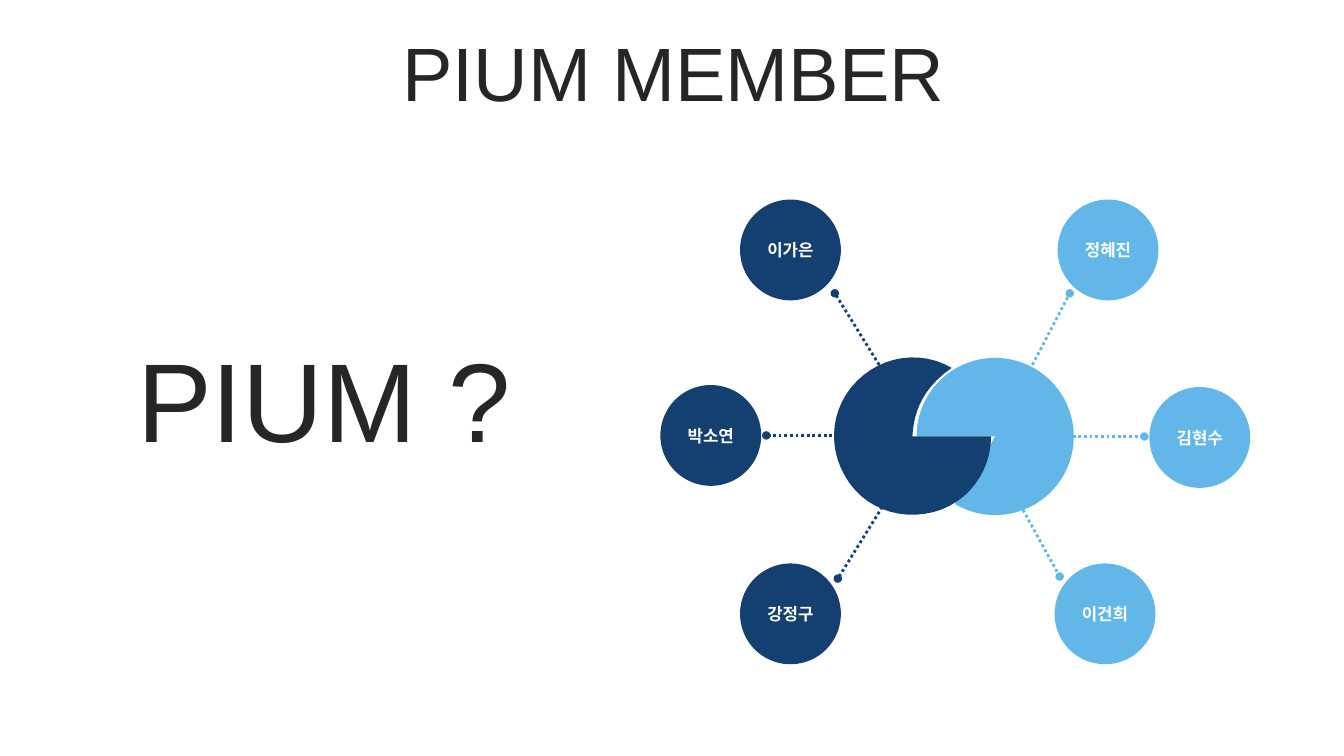
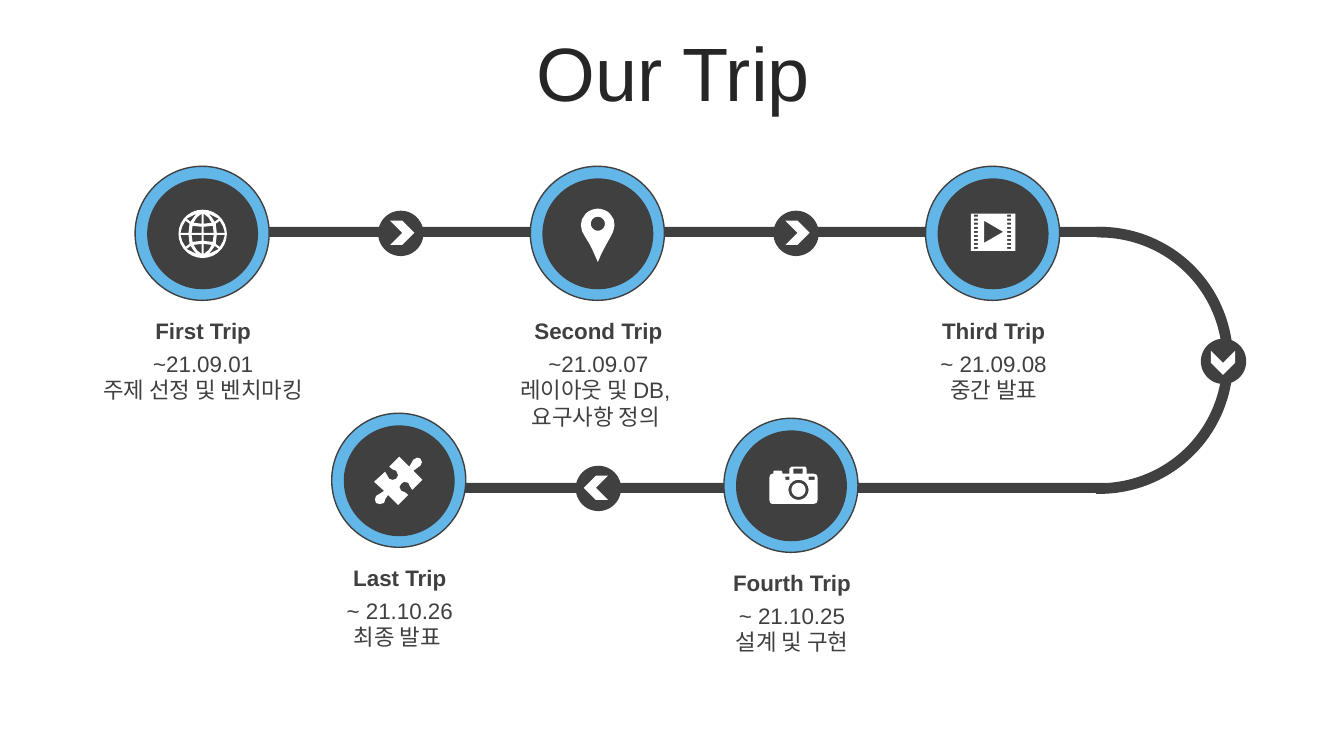
from math import cos, pi, radians, sin

from pptx import Presentation
from pptx.dml.color import RGBColor
from pptx.enum.dml import MSO_LINE
from pptx.enum.shapes import MSO_CONNECTOR, MSO_SHAPE
from pptx.enum.text import MSO_ANCHOR, MSO_AUTO_SIZE, PP_ALIGN
from pptx.oxml.ns import qn
from pptx.util import Emu, Pt
from lxml.etree import SubElement

NAVY = RGBColor(0x13, 0x40, 0x70)
SKY = RGBColor(0x62, 0xB7, 0xE8)
GRAY = RGBColor(0x40, 0x40, 0x40)
INK = RGBColor(0x26, 0x26, 0x26)
WHITE = RGBColor(0xFF, 0xFF, 0xFF)
FONT = "Arial"
SCALE = 9144
SIZES = {"M": 2, "L": 2, "C": 6, "O": 3, "R": 4}

MEMBERS = [
    ("정혜진", 1049, 198, SKY),
    ("김현수", 1140, 384, SKY),
    ("이건희", 1046, 559, SKY),
    ("강정구", 734, 559, NAVY),
    ("박소연", 655, 382, NAVY),
    ("이가은", 734, 198, NAVY),
]
LINKS = [
    (872, 362, 828, 291, NAVY),
    (831, 432, 760, 432, NAVY),
    (875, 503, 831, 574, NAVY),
    (1024, 362, 1061, 291, SKY),
    (1064, 433, 1135, 433, SKY),
    (1012, 501, 1051, 572, SKY),
]
TRIPS = [
    ("First Trip", ["~21.09.01", "주제 선정 및 벤치마킹"], 134, 165),
    ("Second Trip", ["~21.09.07", "레이아웃 및 DB, ", "요구사항 정의 "], 526, 165),
    ("Third Trip", ["~ 21.09.08", "중간 발표"], 918, 165),
    ("Fourth Trip", ["~ 21.10.25", "설계 및 구현"], 718, 415),
    ("Last Trip", ["~ 21.10.26", "최종 발표 "], 329, 410),
]
ARROWS = [(375, 209, 0), (767, 209, 0), (571, 462, 180), (1191, 336, 90)]

PETAL = (
    "M 983 433 C 983 468 960 499 926 508 C 891 517 855 503 838 472 "
    "C 820 441 825 403 850 378 C 875 353 913 347 944 365 "
    "C 909 389 906 418 905 433"
)
SECTOR = (
    "M 12 12 C 10 15 8 18 6 20 L 16 15 "
    "M 1 10 L 1 20 C 5 18 7 15 9 11 "
    "M 14 1 L 13 10 L 17 13 C 20 9 21 6 22 1 "
    "M 1 1 L 1 7 L 10 8 L 11 1"
)
PIN = (
    "O 593 222 7 M 593 207 C 597 207 602 209 605 212 "
    "C 612 219 610 228 605 236 C 600 245 597 250 593 260 "
    "C 588 249 587 245 581 236 C 575 228 574 219 581 212 "
    "C 584 209 589 207 593 207"
)
CAMERA = (
    "O 792 486 7 O 792 486 10 R 779 473 4 3 R 802 473 6 3 R 787 465 9 5 "
    "M 785 463 L 799 463 L 800 465 L 800 470 L 807 470 "
    "L 810 471 L 811 474 L 811 496 L 810 499 L 807 500 "
    "L 766 500 L 764 499 L 763 496 L 763 474 L 764 471 L 766 470 "
    "L 767 470 L 767 468 L 768 467 L 775 467 L 776 468 L 776 470 "
    "L 783 470 L 783 465"
)
PUZZLE = (
    "M 417 455 C 419 457 419 460 417 462 C 415 465 412 464 410 467 "
    "L 419 476 L 409 486 C 406 484 407 481 405 479 C 402 477 399 478 398 480 "
    "C 396 481 395 485 398 487 C 401 489 402 487 405 491 L 395 501 L 385 491 "
    "C 381 495 383 495 381 499 C 378 501 375 500 373 499 "
    "C 372 497 371 494 373 492 C 375 489 378 491 381 487 L 371 478 L 382 468 "
    "C 385 470 383 473 386 475 C 388 477 391 476 393 475 "
    "C 395 473 396 470 393 467 C 390 465 389 467 386 463 L 396 453 L 406 463 "
    "C 409 460 407 459 410 456 C 412 453 416 454 417 455"
)


def px(size):
    return Emu(round(size * SCALE))


def curve(a, b, c, d, steps):
    points = []
    for step in range(1, steps + 1):
        t = step / steps
        u = 1 - t
        points.append(tuple(
            u**3 * p + 3 * u * u * t * q + 3 * u * t * t * r + t**3 * s
            for p, q, r, s in zip(a, b, c, d)
        ))
    return points


def circle(x, y, r, steps=20):
    turns = [2 * pi * step / steps for step in range(steps)]
    return [(x + r * cos(turn), y + r * sin(turn)) for turn in turns]


def trace(text, steps=2):
    loops = []
    marks = iter(text.split())
    for mark in marks:
        nums = [int(next(marks)) for _ in range(SIZES[mark])]
        pairs = list(zip(nums[::2], nums[1::2]))
        if mark == "M":
            loops.append(pairs)
        elif mark == "L":
            loops[-1] += pairs
        elif mark == "C":
            loops[-1] += curve(loops[-1][-1], *pairs, steps)
        elif mark == "O":
            loops.append(circle(*nums))
        else:
            x, y, w, h = nums
            loops.append([(x, y), (x + w, y), (x + w, y + h), (x, y + h)])
    return loops


def globe(x, y):
    loops = [circle(x, y, 24, 28)]
    for across in (1, -1):
        for down in (1, -1):
            for loop in trace(SECTOR):
                loops.append([(x + across * a, y + down * b) for a, b in loop])
    return loops


def film():
    holes = [f"R {x} {213 + 4 * row} 4 2" for row in range(9) for x in (966, 999)]
    return trace(" ".join(holes + ["M 976 219 L 976 241 L 995 230 R 963 212 44 37"]))


def paint(shape, fill, edge=None):
    shape.shadow.inherit = False
    shape.fill.solid()
    shape.fill.fore_color.rgb = fill
    if edge is None:
        shape.line.fill.background()
    else:
        shape.line.color.rgb = edge
        shape.line.width = Pt(1)
    return shape


def form(slide, kind, x, y, w, h, fill, edge=None, turn=0):
    shape = slide.shapes.add_shape(kind, px(x), px(y), px(w), px(h))
    shape.rotation = turn
    return paint(shape, fill, edge)


def draw(slide, loops, fill):
    loops = [[(px(x), px(y)) for x, y in loop] for loop in loops]
    pen = slide.shapes.build_freeform(*loops[0][0], scale=1.0)
    for spot, loop in enumerate(loops):
        if spot:
            pen.move_to(*loop[0])
        pen.add_line_segments(loop[1:], close=True)
    paint(pen.convert_to_shape(), fill)


def write(frame, lines, size, color, bold=False):
    frame.word_wrap = True
    for spot, line in enumerate(lines):
        para = frame.add_paragraph() if spot else frame.paragraphs[0]
        para.alignment = PP_ALIGN.CENTER
        run = para.add_run()
        run.text = line
        run.font.name = FONT
        run.font.size = Pt(size)
        run.font.bold = bold
        run.font.color.rgb = color


def label(slide, lines, x, y, w, h, bold=False):
    box = slide.shapes.add_textbox(px(x), px(y), px(w), px(h))
    write(box.text_frame, lines, 16, GRAY, bold)
    box.text_frame.auto_size = MSO_AUTO_SIZE.SHAPE_TO_FIT_TEXT


def head(box, text, size):
    frame = box.text_frame
    write(frame, [text], size, INK)
    frame.auto_size = MSO_AUTO_SIZE.NONE
    frame.vertical_anchor = MSO_ANCHOR.MIDDLE
    frame.paragraphs[0].line_spacing = 0.9
    frame.paragraphs[0].space_before = Pt(10)


def start(deck, text):
    slide = deck.slides.add_slide(deck.slide_layouts[5])
    title = slide.shapes.title
    title.left, title.top, title.width, title.height = map(px, (35, 37, 1266, 79))
    head(title, text, 54)
    return slide


def member(slide, name, x, y, fill):
    disc = form(slide, MSO_SHAPE.OVAL, x, y, 100, 100, fill)
    frame = disc.text_frame
    frame.margin_left = frame.margin_right = 0
    frame.vertical_anchor = MSO_ANCHOR.MIDDLE
    write(frame, [name], 12, WHITE, True)


def link(slide, x, y, far, low, color):
    wire = slide.shapes.add_connector(
        MSO_CONNECTOR.STRAIGHT, px(x), px(y), px(far), px(low))
    wire.line.color.rgb = color
    wire.line.width = Pt(2)
    wire.line.dash_style = MSO_LINE.ROUND_DOT
    props = wire.element.spPr
    SubElement(props.find(qn("a:ln")), qn("a:tailEnd")).set("type", "oval")
    SubElement(props, qn("a:effectLst"))


def arrow(slide, x, y, turn):
    form(slide, MSO_SHAPE.OVAL, x, y, 45, 45, GRAY, turn=turn)
    ahead = round(2 * cos(radians(turn)))
    down = round(2 * sin(radians(turn)))
    form(slide, MSO_SHAPE.CHEVRON, x + 10 + ahead, y + 10 + down, 24, 24,
         WHITE, turn=turn)


def trip(slide, name, lines, x, y, icon):
    form(slide, MSO_SHAPE.OVAL, x, y, 133, 133, SKY, GRAY)
    form(slide, MSO_SHAPE.OVAL, x + 12, y + 12, 110, 110, GRAY)
    draw(slide, icon, WHITE)
    label(slide, lines, x - 80, y + 177, 295, 37 + 27 * (len(lines) - 1))
    label(slide, [name], x - 80, y + 145, 295, 37, True)


def team(deck):
    slide = start(deck, "PIUM MEMBER")
    for person in MEMBERS:
        member(slide, *person)
    pie = form(slide, MSO_SHAPE.PIE, 909, 355, 156, 156, SKY, turn=180)
    pie.adjustments[0] = 0
    pie.adjustments[1] = 180.48
    draw(slide, trace(PETAL, 12), NAVY)
    for ends in LINKS:
        link(slide, *ends)
    box = slide.shapes.add_textbox(px(-102), px(282), px(847), px(241))
    head(box, "PIUM ?", 80)


def route(deck):
    slide = start(deck, "Our Trip")
    bend = form(slide, MSO_SHAPE.BLOCK_ARC, 958, 225, 265, 265, GRAY)
    for spot, value in enumerate((161.27, 54.9, 0.04)):
        bend.adjustments[spot] = value
    form(slide, MSO_SHAPE.RECTANGLE, 198, 225, 898, 10, GRAY)
    form(slide, MSO_SHAPE.RECTANGLE, 351, 479, 745, 10, GRAY)
    icons = [globe(201, 232), trace(PIN, 4), film(), trace(CAMERA), trace(PUZZLE)]
    for stop, icon in zip(TRIPS, icons):
        trip(slide, *stop, icon)
    for place in ARROWS:
        arrow(slide, *place)


def main():
    deck = Presentation()
    deck.slide_width = px(1333)
    deck.slide_height = px(750)
    team(deck)
    route(deck)
    deck.save("out.pptx")


if __name__ == "__main__":
    main()
